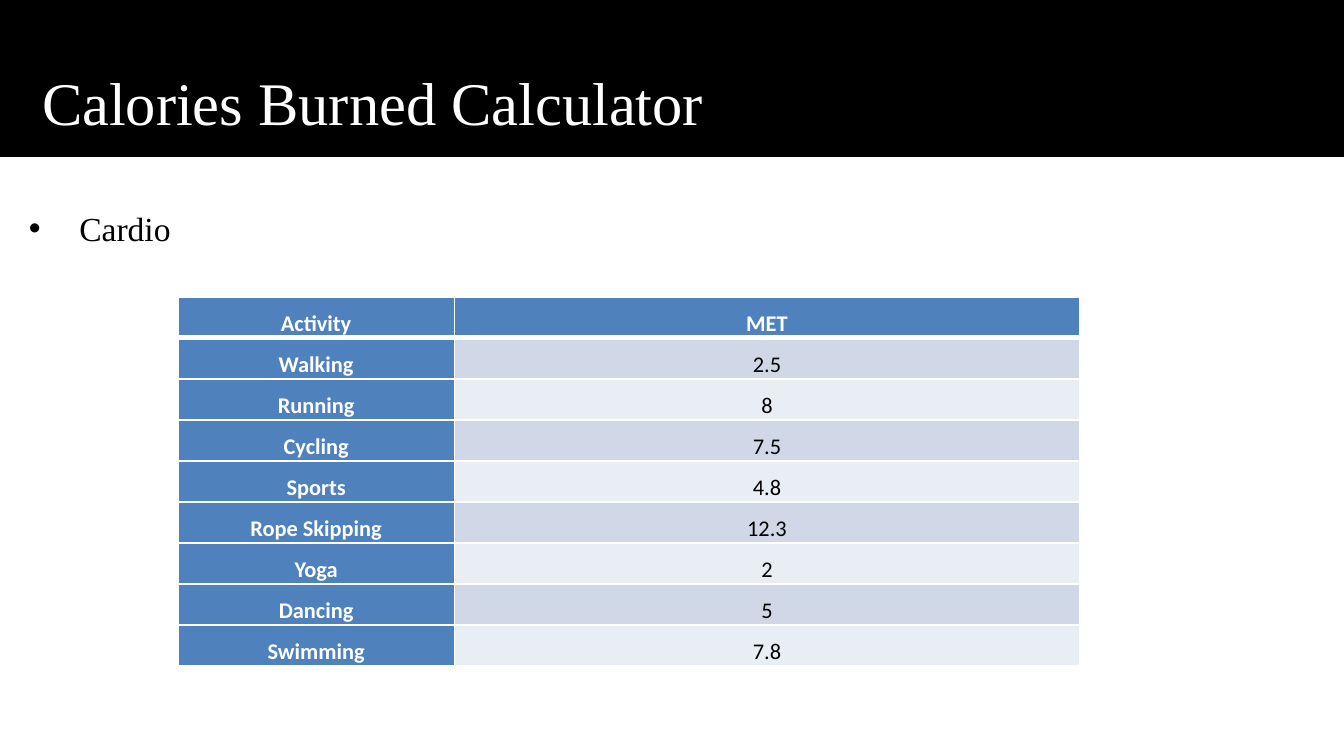
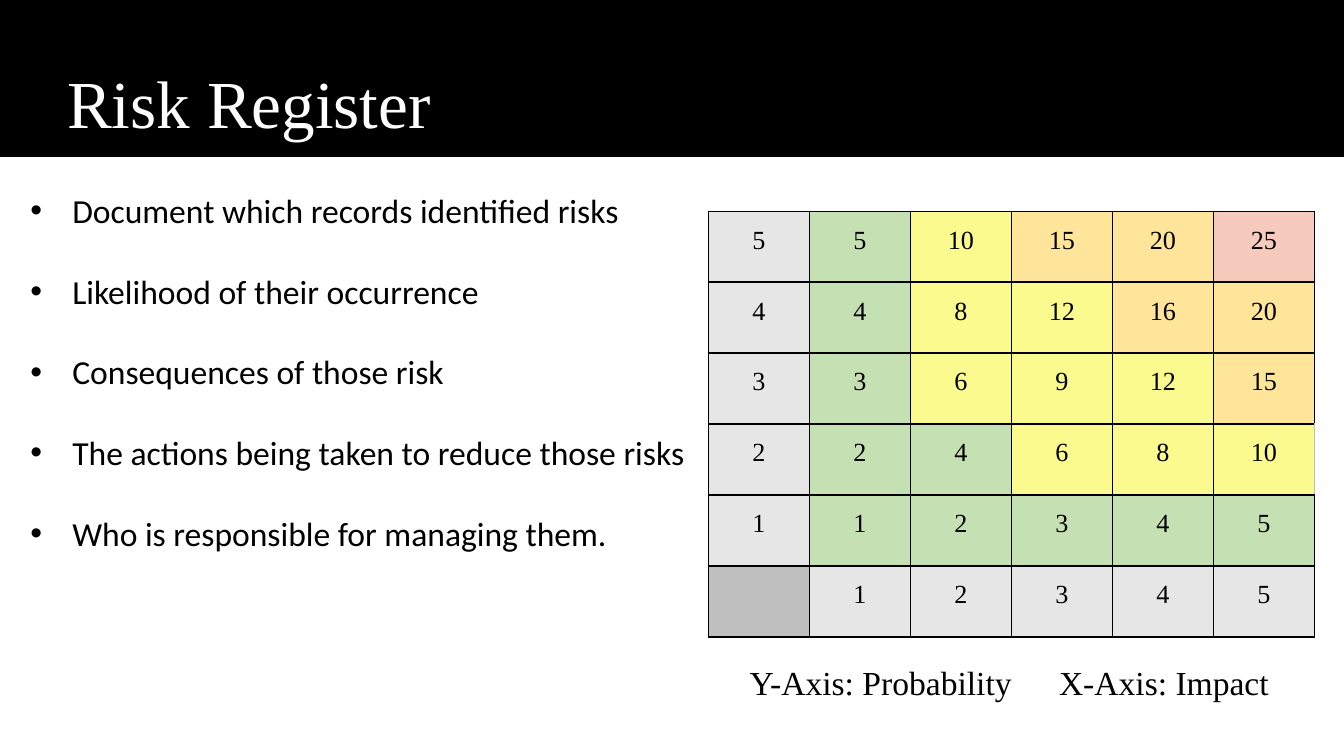
from dataclasses import dataclass, field
from typing import NamedTuple

from lxml.etree import SubElement
from pptx import Presentation
from pptx.dml.color import RGBColor
from pptx.enum.shapes import MSO_SHAPE as Preset
from pptx.enum.text import MSO_ANCHOR as Anchor, MSO_AUTO_SIZE as AutoSize, PP_ALIGN as Align
from pptx.oxml.ns import qn
from pptx.util import Emu, Pt

EMU_PER_PX = 9525
SLIDE_WIDTH = 960
SLIDE_HEIGHT = 540
SERIF = "Times New Roman"
SANS = "Calibri"
BLACK = "000000"
WHITE = "FFFFFF"
BLUE = "4F81BD"
BANDS = ("D0D8E8", "E9EDF4")
AXIS_GREY = "E7E6E6"
CORNER_GREY = "BFBFBF"
RISK_LEVELS = ((5, "C5E0B3"), (12, "FAFA8E"), (20, "FFE599"), (25, "F6CABC"))
SCALE = range(1, 6)

ACTIVITIES = (
    ("Walking", "2.5"),
    ("Running", "8"),
    ("Cycling", "7.5"),
    ("Sports", "4.8"),
    ("Rope Skipping", "12.3"),
    ("Yoga", "2"),
    ("Dancing", "5"),
    ("Swimming", "7.8"),
)
RISK_POINTS = (
    "Document which records identified risks",
    "Likelihood of their occurrence",
    "Consequences of those risk",
    "The actions being taken to reduce those risks",
    "Who is responsible for managing them.",
)


class Box(NamedTuple):
    left: int
    top: int
    width: int
    height: int


class Style(NamedTuple):
    font: str
    size: float
    color: str = BLACK
    bold: bool = False


class Edge(NamedTuple):
    color: str
    points: int = 1


@dataclass
class Cell:
    text: str
    fill: str
    style: Style
    edges: dict[str, Edge] = field(default_factory=dict)


@dataclass
class BulletList:
    box: Box
    items: tuple[str, ...]
    style: Style
    indent: int
    space_after: float
    line_spacing: float = 1.0


@dataclass
class Grid:
    box: Box
    column_weights: tuple[int, ...]
    rows: list[list[Cell]]
    edge: Edge


def px(length: int) -> Emu:
    return Emu(length * EMU_PER_PX)


def rgb(color: str) -> RGBColor:
    return RGBColor.from_string(color)


def place(shape, box: Box) -> None:
    shape.left, shape.top, shape.width, shape.height = map(px, box)


def format_runs(paragraph, style: Style) -> None:
    for run in paragraph.runs:
        run.font.name = style.font
        run.font.size = Pt(style.size)
        run.font.bold = style.bold
        run.font.color.rgb = rgb(style.color)


def add_band(slide) -> None:
    band = slide.shapes.add_shape(Preset.RECTANGLE, *map(px, Box(0, 0, SLIDE_WIDTH, 111)))
    band.shadow.inherit = False
    band.fill.solid()
    band.fill.fore_color.rgb = rgb(BLACK)
    band.line.color.rgb = rgb(BLACK)
    band.line.width = Pt(2)
    slide.shapes._spTree.insert(2, band._element)


def set_title(slide, text: str, box: Box, size: float, margin: int) -> None:
    title = slide.shapes.title
    place(title, box)
    frame = title.text_frame
    frame.text = text
    frame.auto_size = AutoSize.NONE
    frame.word_wrap = True
    frame.vertical_anchor = Anchor.MIDDLE
    frame.margin_left = px(margin)
    frame.paragraphs[0].alignment = Align.LEFT
    format_runs(frame.paragraphs[0], Style(SERIF, size, WHITE))


def set_bullets(slide, bullets: BulletList) -> None:
    body = slide.placeholders[1]
    place(body, bullets.box)
    frame = body.text_frame
    frame.text = "\n".join(bullets.items)
    frame.auto_size = AutoSize.NONE
    frame.word_wrap = True
    for paragraph in frame.paragraphs:
        paragraph.line_spacing = bullets.line_spacing
        paragraph.space_before = Pt(0)
        paragraph.space_after = Pt(bullets.space_after)
        properties = paragraph._p.get_or_add_pPr()
        properties.set("marL", str(px(bullets.indent)))
        properties.set("indent", str(px(-bullets.indent)))
        format_runs(paragraph, bullets.style)


def set_edges(table_cell, edges: dict[str, Edge]) -> None:
    properties = table_cell._tc.get_or_add_tcPr()
    for side, edge in edges.items():
        line = SubElement(properties, qn(f"a:ln{side}"), w=str(Pt(edge.points)))
        fill = SubElement(line, qn("a:solidFill"))
        SubElement(fill, qn("a:srgbClr"), val=edge.color)


def fill_cell(table_cell, cell: Cell, edge: Edge) -> None:
    set_edges(table_cell, dict.fromkeys("LRTB", edge) | cell.edges)
    table_cell.fill.solid()
    table_cell.fill.fore_color.rgb = rgb(cell.fill)
    table_cell.margin_left = table_cell.margin_right = px(7)
    table_cell.margin_top = table_cell.margin_bottom = 0
    table_cell.text_frame.text = cell.text
    paragraph = table_cell.text_frame.paragraphs[0]
    paragraph.alignment = Align.CENTER
    paragraph.line_spacing = 1.5
    format_runs(paragraph, cell.style)


def add_grid(slide, grid: Grid) -> None:
    frame = slide.shapes.add_table(len(grid.rows), len(grid.column_weights), *map(px, grid.box))
    table = frame.table
    table.first_row = table.horz_banding = False
    total = sum(grid.column_weights)
    for column, weight in zip(table.columns, grid.column_weights):
        column.width = Emu(px(grid.box.width) * weight // total)
    for row_index, row in enumerate(grid.rows):
        table.rows[row_index].height = Emu(px(grid.box.height) // len(grid.rows))
        for column_index, cell in enumerate(row):
            fill_cell(table.cell(row_index, column_index), cell, grid.edge)


def activity_rows() -> list[list[Cell]]:
    heading = Style(SANS, 12, WHITE, True)
    value_style = Style(SANS, 12)
    divider = Edge(WHITE, 3)
    rows = [[Cell(text, BLUE, heading, {"B": divider}) for text in ("Activity", "MET")]]
    for index, (activity, met) in enumerate(ACTIVITIES):
        edges = {"T": divider} if index == 0 else {}
        rows.append([
            Cell(activity, BLUE, heading, edges),
            Cell(met, BANDS[index % 2], value_style, edges),
        ])
    return rows


def risk_color(score: int) -> str:
    return next(color for limit, color in RISK_LEVELS if score <= limit)


def risk_rows() -> list[list[Cell]]:
    style = Style(SERIF, 14)
    rows = []
    for probability in reversed(SCALE):
        scores = [probability * impact for impact in SCALE]
        rows.append([Cell(str(probability), AXIS_GREY, style)]
                    + [Cell(str(score), risk_color(score), style) for score in scores])
    rows[3][-1].edges["R"] = Edge(CORNER_GREY)
    rows.append([Cell("", CORNER_GREY, style)]
                + [Cell(str(impact), AXIS_GREY, style) for impact in SCALE])
    return rows


def add_axis_caption(slide) -> None:
    caption = slide.shapes.add_textbox(*map(px, Box(526, 454, 482, 49)))
    frame = caption.text_frame
    frame.text = "Y-Axis: Probability\tX-Axis: Impact"
    frame.word_wrap = True
    frame.auto_size = AutoSize.SHAPE_TO_FIT_TEXT
    paragraph = frame.paragraphs[0]
    paragraph.line_spacing = 1.5
    paragraph.space_after = Pt(8)
    tabs = SubElement(paragraph._p.get_or_add_pPr(), qn("a:tabLst"))
    SubElement(tabs, qn("a:tab"), pos=str(px(221)), algn="l")
    format_runs(paragraph, Style(SERIF, 18))


def add_content_slide(presentation, title: str, box: Box, size: float, margin: int,
                      bullets: BulletList, grid: Grid):
    slide = presentation.slides.add_slide(presentation.slide_layouts[1])
    add_band(slide)
    set_title(slide, title, box, size, margin)
    set_bullets(slide, bullets)
    add_grid(slide, grid)
    return slide


def main() -> None:
    presentation = Presentation()
    presentation.slide_width = px(SLIDE_WIDTH)
    presentation.slide_height = px(SLIDE_HEIGHT)
    add_content_slide(
        presentation, "Calories Burned Calculator", Box(20, 32, 512, 81), 32.4, 10,
        BulletList(Box(11, 129, 902, 396), ("Cardio",), Style(SERIF, 18), 36, 8, 1.5),
        Grid(Box(127, 212, 644, 255), (206, 465), activity_rows(), Edge(WHITE)),
    )
    risk_slide = add_content_slide(
        presentation, "Risk Register", Box(26, 32, 454, 81), 36, 22,
        BulletList(Box(12, 131, 492, 272), RISK_POINTS, Style(SANS, 18), 30, 21.6),
        Grid(Box(506, 151, 433, 304), (1,) * 6, risk_rows(), Edge(BLACK)),
    )
    add_axis_caption(risk_slide)
    presentation.save("out.pptx")


if __name__ == "__main__":
    main()
